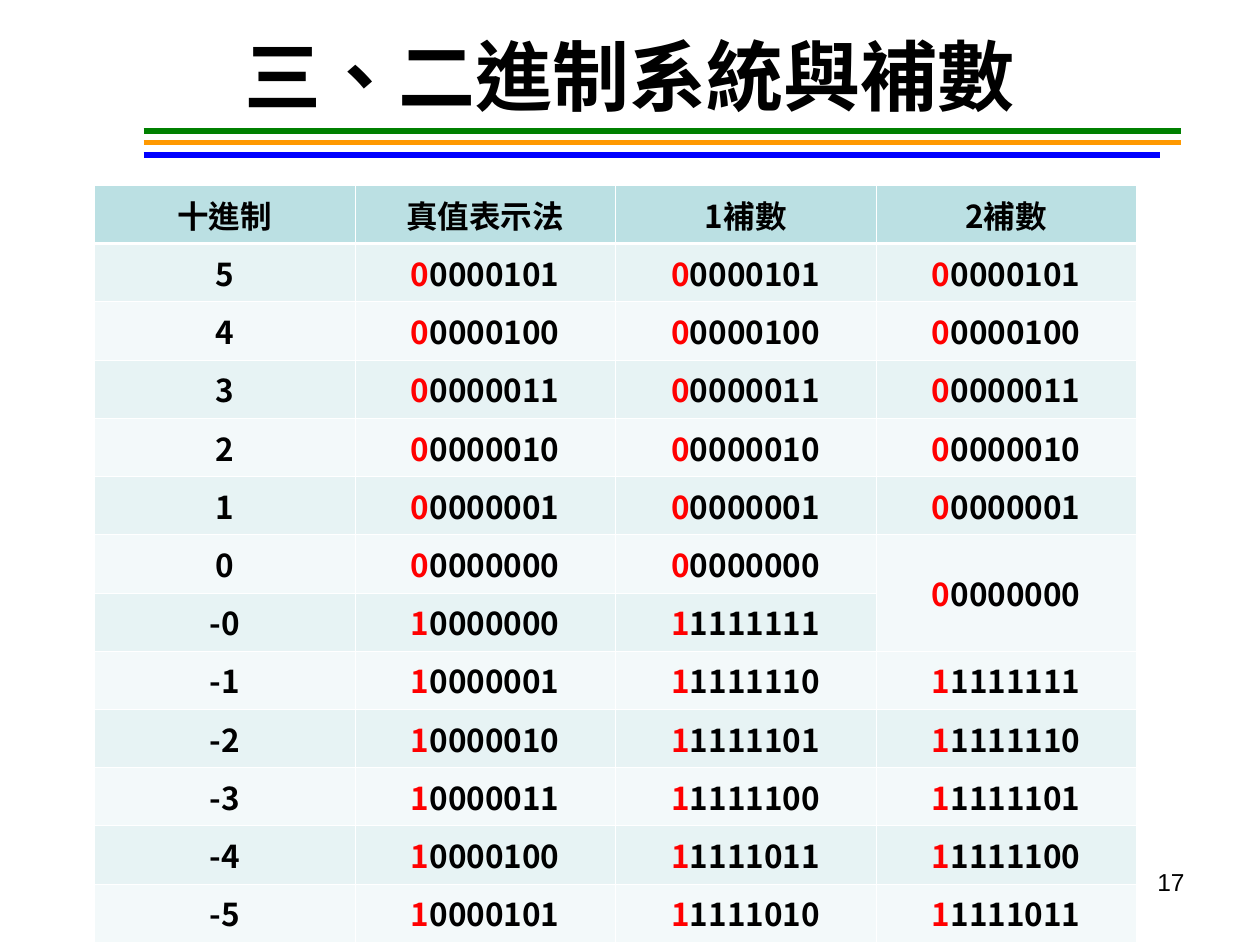
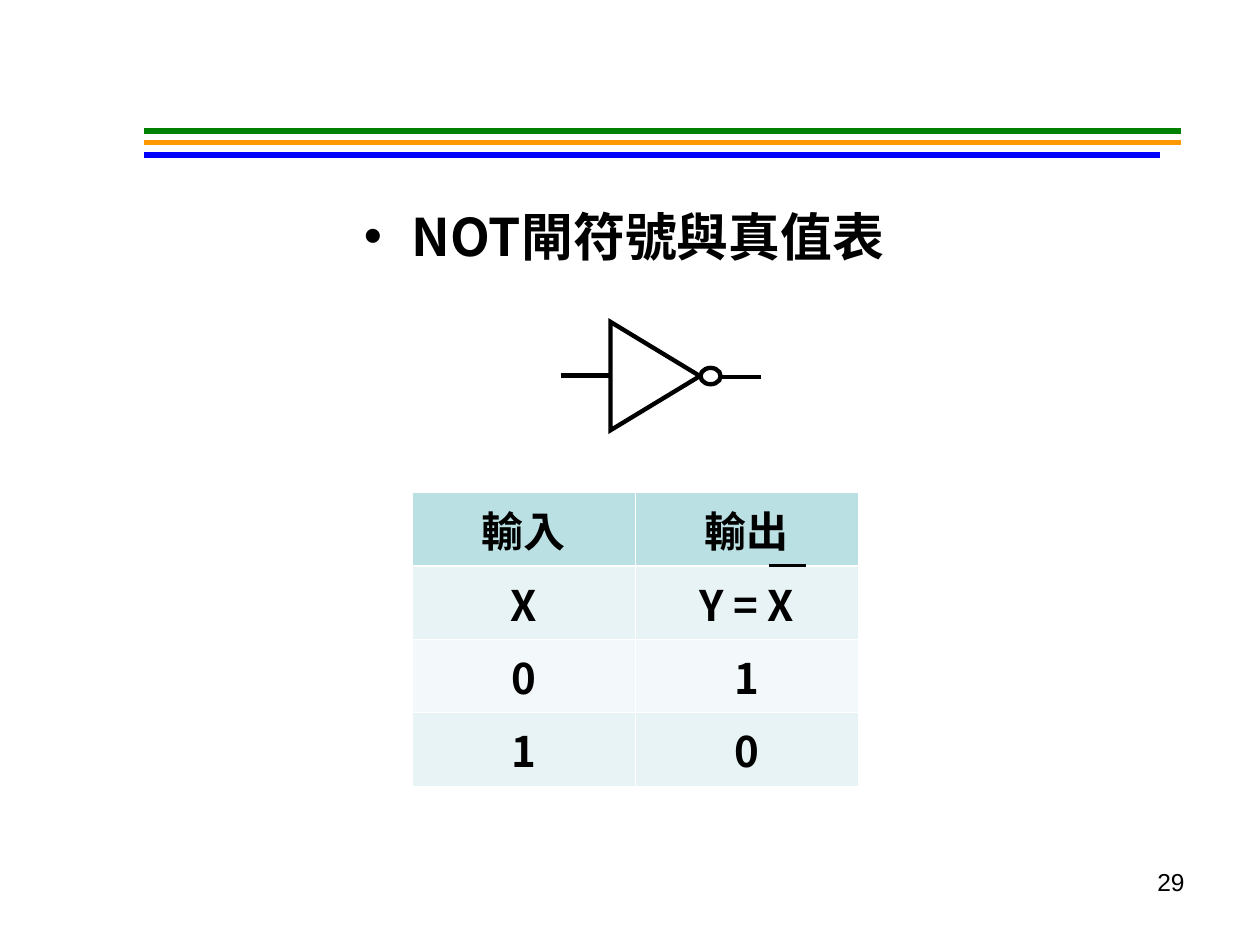
from lxml import etree
from pptx import Presentation
from pptx import util as u
from pptx.dml.color import RGBColor
from pptx.enum import lang, shapes, text
from pptx.oxml import ns

COLORS = {
    "black": "000000", "white": "FFFFFF", "red": "FF0000",
    "green": "008000", "orange": "FF9900", "blue": "0000FF",
    "header": "BBE0E3", "band_dark": "E7F3F4", "band_light": "F3F9FA",
}
CJK = "Noto Sans CJK SC"
ALIGN = text.PP_ALIGN


def write(frame, runs, size=18, font=CJK, bold=True, align=ALIGN.CENTER,
          anchor=text.MSO_ANCHOR.TOP, bullet=None, spacing=None):
    """Fill a text frame with one paragraph of (words, colour) runs."""
    if isinstance(runs, str):
        runs = [(runs, "black")]
    frame.word_wrap = True
    frame.vertical_anchor = anchor
    paragraph = frame.paragraphs[0]
    if bullet:
        props = paragraph._p.get_or_add_pPr()
        props.set("marL", str(u.Inches(0.38)))
        props.set("indent", str(-u.Inches(0.38)))
        etree.SubElement(props, ns.qn("a:buFont"), typeface="Arial")
        etree.SubElement(props, ns.qn("a:buChar"), char=bullet)
    paragraph.alignment = align
    if spacing:
        paragraph.line_spacing = spacing
    for words, color in runs:
        run = paragraph.add_run()
        run.text = words
        run.font.size = u.Pt(size)
        run.font.bold = bold
        run.font.name = font
        run.font.language_id = lang.MSO_LANGUAGE_ID.TRADITIONAL_CHINESE
        run.font.color.rgb = RGBColor.from_string(COLORS[color])
        etree.SubElement(run._r.get_or_add_rPr(), ns.qn("a:ea"), typeface=font)


def draw_line(slide, x1, y1, x2, y2, color="black", width=2.5):
    line = slide.shapes.add_connector(
        shapes.MSO_CONNECTOR.STRAIGHT, *map(u.Inches, (x1, y1, x2, y2)))
    line.line.color.rgb = RGBColor.from_string(COLORS[color])
    line.line.width = u.Pt(width)
    etree.SubElement(line._element.spPr, ns.qn("a:effectLst"))


prs = Presentation()
prs.slide_width, prs.slide_height = u.Inches(10), u.Inches(7.5)
complements, not_gate = [prs.slides.add_slide(prs.slide_layouts[6]) for _ in range(2)]

# Shared rules and page numbers
for slide, number in ((complements, "17"), (not_gate, "29")):
    for y, right, color in ((1.13, 9.37, "orange"), (1.04, 9.37, "green"), (1.23, 9.21, "blue")):
        draw_line(slide, 1.14, y, right, y, color, 3)
    page = slide.shapes.add_textbox(*map(u.Inches, (7.17, 6.83, 2.33, 0.52)))
    write(page.text_frame, number, size=14, font="Arial", bold=False, align=ALIGN.RIGHT)

# Title
title = complements.shapes.add_textbox(*map(u.Inches, (0.5, -0.03, 9, 1.25)))
write(title.text_frame, "三、二進制系統與補數", size=44, anchor=text.MSO_ANCHOR.MIDDLE)

# Signed 8-bit values: sign and magnitude, ones' complement, two's complement
number_rows = [["十進制", "真值表示法", "1補數", "2補數"]]
for label in ["5", "4", "3", "2", "1", "0", "-0", "-1", "-2", "-3", "-4", "-5"]:
    magnitude = abs(int(label))
    codes = [magnitude] * 3
    if label.startswith("-"):
        codes = [128 + magnitude, 255 - magnitude, 256 - magnitude]
    bits = [f"{code:08b}" for code in codes]
    number_rows.append([label] + [[(b[0], "red"), (b[1:], "black")] for b in bits])
number_rows[7][3] = None  # -0 shares the cell of 0

# NOT gate heading
heading = not_gate.shapes.add_textbox(*map(u.Inches, (2.79, 1.64, 4.49, 0.74)))
write(heading.text_frame, "NOT閘符號與真值表", size=29.6, align=ALIGN.LEFT, bullet="•", spacing=0.87)

# Truth tables
truth_rows = [["輸入", "輸出"], ["X", "Y = X"], ["0", "1"], ["1", "0"]]
for slide, rows, place, size in (
        (complements, number_rows, (0.75, 1.47, 8.27, 6.01), 18),
        (not_gate, truth_rows, (3.27, 3.91, 3.54, 2.33), 24)):
    table = slide.shapes.add_table(len(rows), len(rows[0]), *map(u.Inches, place)).table
    if slide is complements:
        table.cell(6, 3).merge(table.cell(7, 3))
    for r, row in enumerate(rows):
        for c, content in enumerate(row):
            cell = table.cell(r, c)
            props = cell._tc.get_or_add_tcPr()
            for side in "LRTB":
                thick = (r, side) in ((0, "B"), (1, "T"))
                border = etree.SubElement(props, ns.qn(f"a:ln{side}"),
                                          w=str(u.Pt(1.47 if thick else 0.45)))
                paint = etree.SubElement(border, ns.qn("a:solidFill"))
                etree.SubElement(paint, ns.qn("a:srgbClr"), val=COLORS["white"])
            shade = "header" if r == 0 else "band_dark" if r % 2 else "band_light"
            cell.fill.solid()
            cell.fill.fore_color.rgb = RGBColor.from_string(COLORS[shade])
            if content is None:
                continue
            write(cell.text_frame, content, size=size)
            if cell.is_merge_origin:
                cell.vertical_anchor = text.MSO_ANCHOR.MIDDLE

# Gate symbol: leads, triangle, inversion circle
draw_line(not_gate, 4.45, 2.98, 4.87, 2.98)
draw_line(not_gate, 5.72, 2.99, 6.04, 2.99)
for outline, place, turn in (
        (shapes.MSO_SHAPE.ISOSCELES_TRIANGLE, (4.77, 2.63, 0.86, 0.71), 90),
        (shapes.MSO_SHAPE.OVAL, (5.56, 2.92, 0.16, 0.13), 0)):
    part = not_gate.shapes.add_shape(outline, *map(u.Inches, place))
    part.rotation = turn
    part.shadow.inherit = False
    part.fill.solid()
    part.fill.fore_color.rgb = RGBColor.from_string(COLORS["white"])
    part.line.color.rgb = RGBColor.from_string(COLORS["black"])
    part.line.width = u.Pt(2.5)
    etree.SubElement(part.line._get_or_add_ln(), ns.qn("a:miter"), lim="800000")

# Overbar of the negated X
draw_line(not_gate, 6.1, 4.49, 6.4, 4.49, width=2)

prs.save("out.pptx")
